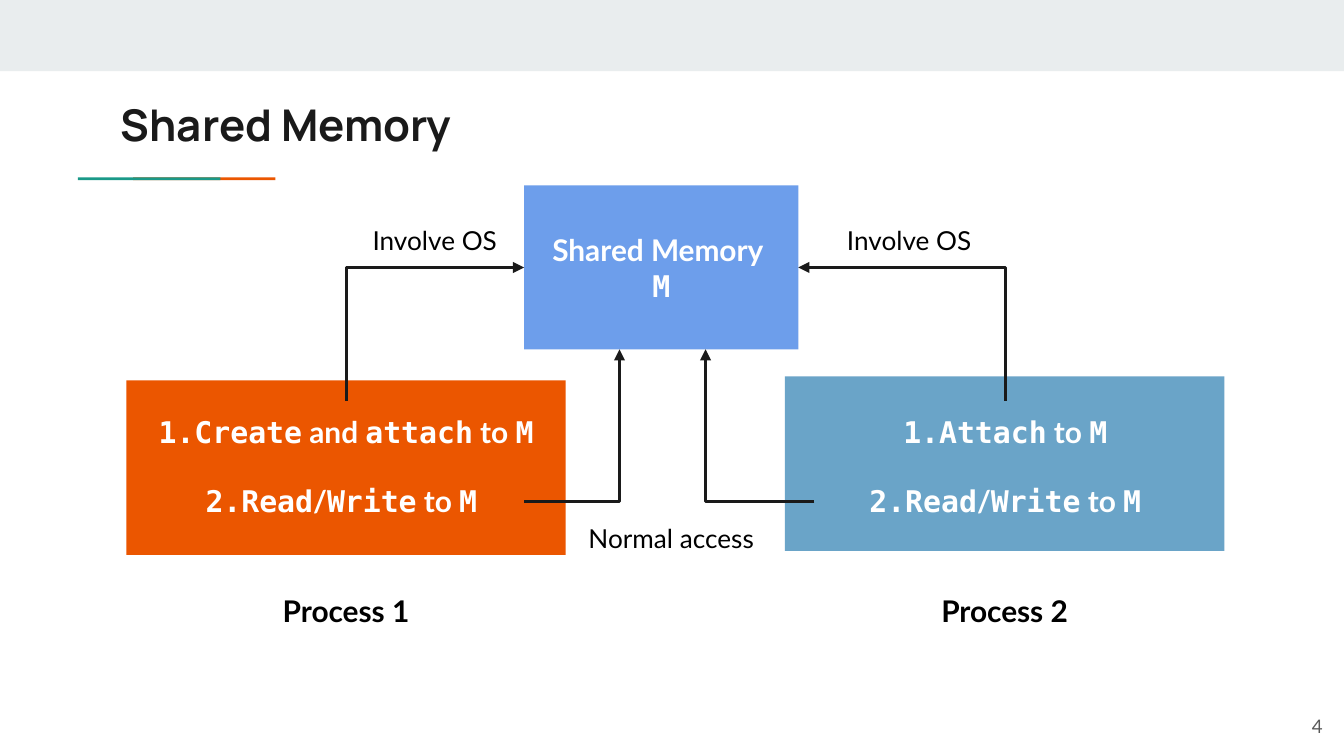
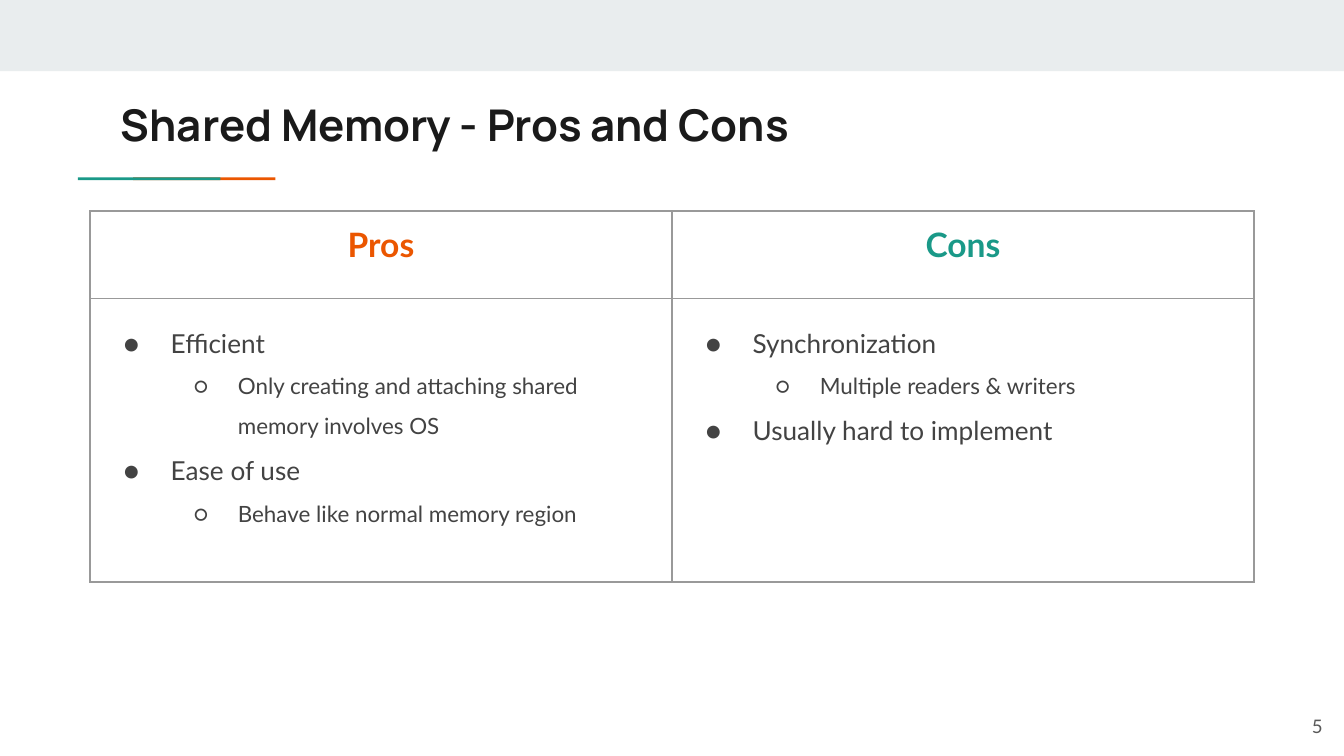
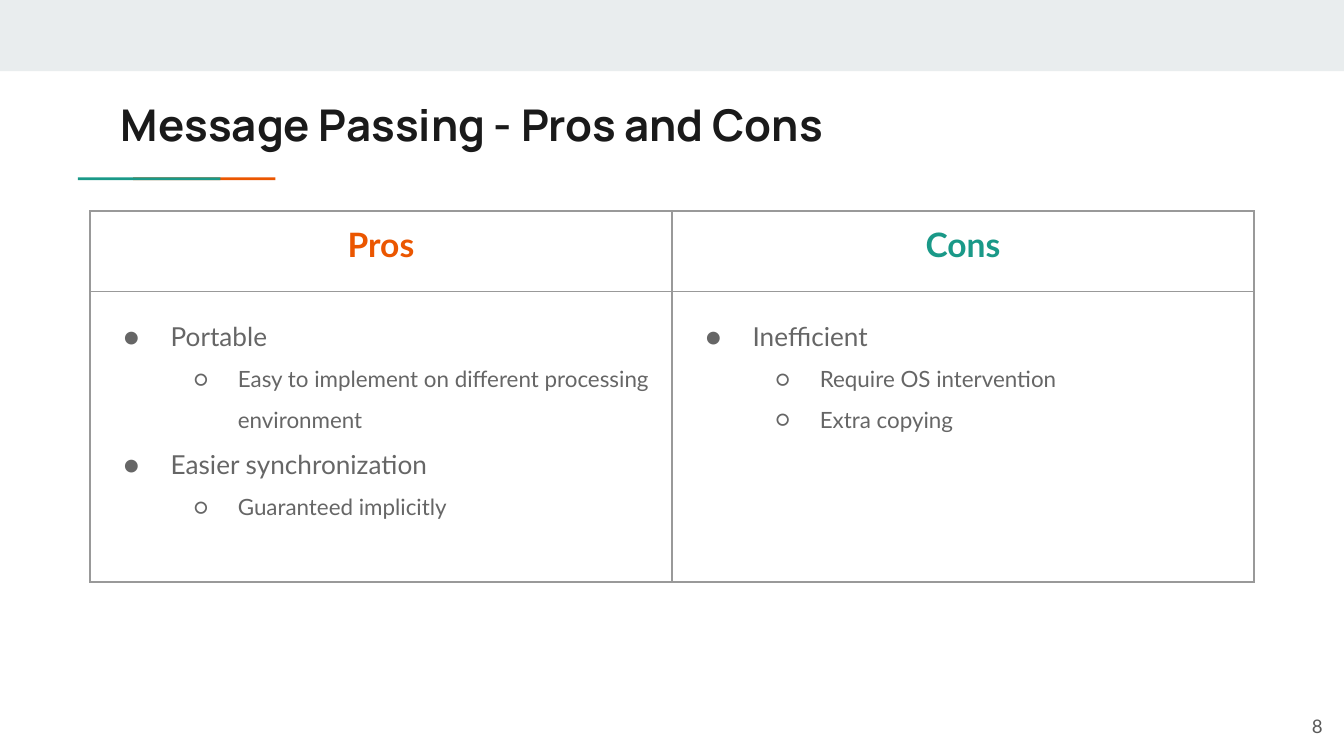
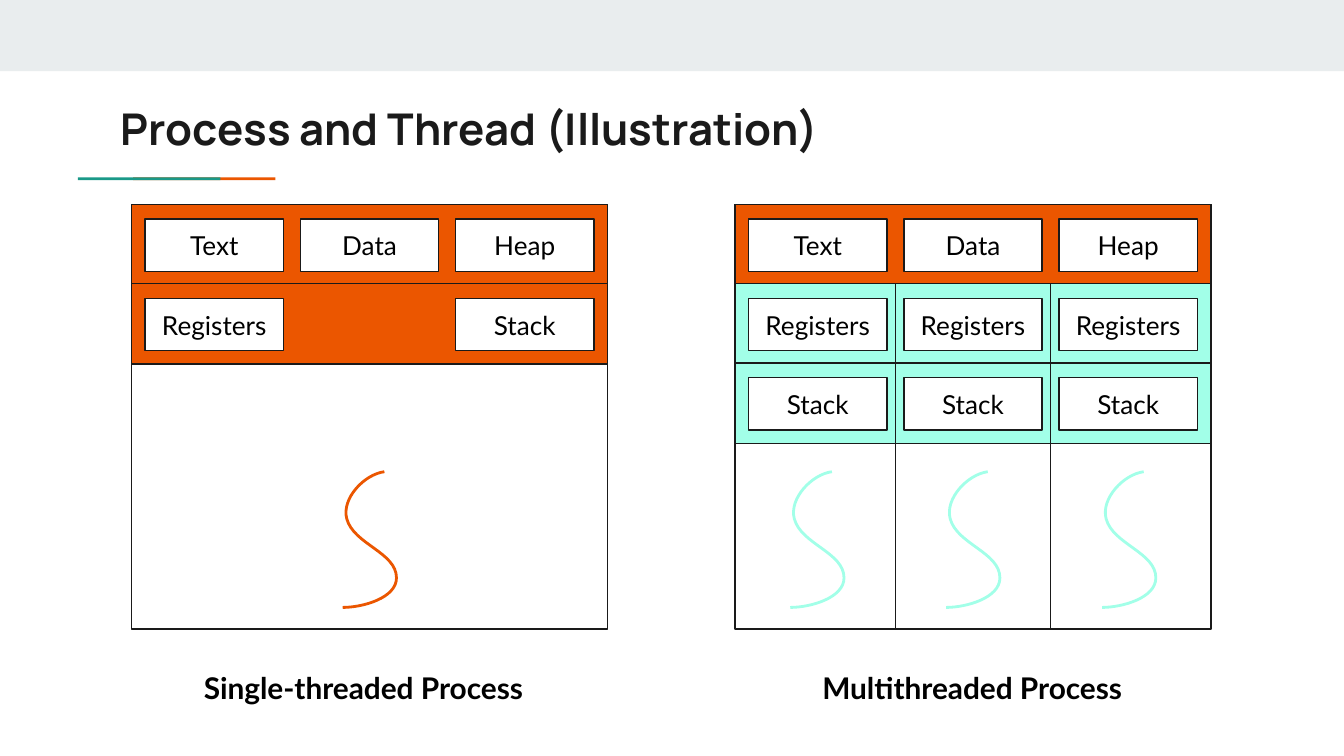
from lxml.etree import SubElement as Sub
from pptx import Presentation
from pptx.dml.color import RGBColor
from pptx.enum.shapes import MSO_CONNECTOR as Link, MSO_SHAPE as Kind
from pptx.enum.text import MSO_ANCHOR as Anchor, MSO_AUTO_SIZE as Fit, PP_ALIGN as Align
from pptx.oxml.ns import qn
from pptx.util import Inches, Pt

WIDE = 10
HIGH = WIDE * 9 / 16
INSET = 0.1
HUE = {"white": "FFFFFF", "black": "000000", "ink": "1A1A1A", "band": "E9EDEE",
       "orange": "EB5600", "teal": "1A9988", "steel": "6AA4C8", "blue": "6D9EEB",
       "mint": "A2FFE8", "rule": "999999", "dark": "434343", "mid": "666666",
       "page": "595959"}
MONO = "DejaVu Sans Mono"
FONT = {
    "title": dict(name="Manrope", size=Pt(23.4), bold=True),
    "strong": dict(name="Lato", size=Pt(16), bold=True),
    "plain": dict(name="Lato", size=Pt(14), bold=False),
    "head": dict(name="Lato", size=Pt(18), bold=True),
    "sub": dict(name="Lato", size=Pt(12), bold=False),
    "page": dict(name="Lato", size=Pt(10), bold=False),
}

# Slide 1: text between backticks is set in the mono font
STORE = (3.9, 1.38, 2.04, 1.22)
PROCS = [
    dict(name="Process 1", box=(0.94, 2.83, 3.27, 1.3), hue="orange",
         steps=[(0.94, 3.27, "`1.Create` and `attach` to `M`"),
                (1.17, 2.74, "`2.Read`/`Write` to `M`")]),
    dict(name="Process 2", box=(5.84, 2.8, 3.27, 1.3), hue="steel",
         steps=[(6.16, 2.64, "`1.Attach` to `M`"),
                (6.06, 2.84, "`2.Read`/`Write` to `M`")]),
]
STEP_TOP, STEP_GAP, NAME_TOP = 2.98, 0.51, 4.27
NOTES = [(2.64, 1.57, 1.19, "Involve OS"), (6.17, 1.57, 1.19, "Involve OS"),
         (4.26, 3.79, 1.47, "Normal access")]
# Level end, upright end, and which of the two has the arrowhead
ELBOWS = [((3.9, 1.99), (2.58, 2.98), "headEnd"), ((5.94, 1.99), (7.48, 2.98), "headEnd"),
          ((3.9, 3.73), (4.61, 2.6), "tailEnd"), ((6.06, 3.73), (5.25, 2.6), "tailEnd")]

# Slides 2 and 3: (level, text)
GRID = (0.67, 1.57, 8.66, 2.76)
HEADS = [("Pros", "orange"), ("Cons", "teal")]
TABLES = [
    dict(title="Shared Memory - Pros and Cons", page=5, hue="dark", head=0.65, cells=[
        [(0, "Efficient"), (1, "Only creating and attaching shared memory involves OS"),
         (0, "Ease of use"), (1, "Behave like normal memory region")],
        [(0, "Synchronization"), (1, "Multiple readers & writers"),
         (0, "Usually hard to implement")]]),
    dict(title="Message Passing - Pros and Cons", page=8, hue="mid", head=0.6, cells=[
        [(0, "Portable"), (1, "Easy to implement on different processing environment"),
         (0, "Easier synchronization"), (1, "Guaranteed implicitly")],
        [(0, "Inefficient"), (1, "Require OS intervention"), (1, "Extra copying")]]),
]
LEVELS = [("●", 0.5, -0.35, "plain"), ("○", 1, -0.33, "sub")]

# Slide 4
MODELS = [
    dict(name="Single-threaded Process", left=0.98, label=1.07, threads=[1], hue="orange",
         rows=[("orange", ["Text", "Data", "Heap"]),
               ("orange", ["Registers", "", "Stack"])]),
    dict(name="Multithreaded Process", left=5.47, label=5.6, threads=[0, 1, 2], hue="mint",
         rows=[("orange", ["Text", "Data", "Heap"]),
               ("mint", ["Registers"] * 3), ("mint", ["Stack"] * 3)]),
]
FRAME_TOP, FRAME_W, FRAME_H = 1.52, 3.54, 3.16
ROW_H, ROW_GAP = 0.6, 0.59
CHIP_W, CHIP_H = 1.03, 0.39
CHIP_GAP = (FRAME_W - 2 * INSET - CHIP_W) / 2
# Thread curve in hundredths of an inch: start, then three points per bend
CURVE = [(31, 0), (16, 2), (-1, 20), (3, 35), (8, 54), (40, 60), (40, 79),
         (40, 94), (15, 101), (0, 101)]
CURVE_TOP, CURVE_MID = 3.51, 0.2


def rgb(hue):
    return RGBColor.from_string(HUE[hue])


def style(font, look, hue, **more):
    for key, val in {**FONT[look], **more}.items():
        setattr(font, key, val)
    font.color.rgb = rgb(hue)


def write(frame, text, look, hue, align=Align.CENTER, anchor=Anchor.TOP, space=None):
    """Fill a text frame, one paragraph a line, with mono runs in backticks."""
    form = dict(word_wrap=True, auto_size=Fit.NONE, vertical_anchor=anchor)
    form.update({"margin_" + side: Inches(INSET)
                 for side in ("left", "right", "top", "bottom")})
    for key, val in form.items():
        setattr(frame, key, val)
    for i, line in enumerate(text.split("\n")):
        para = frame.add_paragraph() if i else frame.paragraphs[0]
        para.alignment = align
        if space:
            para.line_spacing = space
        for j, part in enumerate(line.split("`")):
            if part:
                run = para.add_run()
                run.text = part
                style(run.font, look, hue, **({"name": MONO} if j % 2 else {}))


def label(sld, at, text, look, hue="black", **form):
    box = sld.shapes.add_textbox(*map(Inches, at))
    write(box.text_frame, text, look, hue, **form)


def rect(sld, at, fill, line=None):
    box = sld.shapes.add_shape(Kind.RECTANGLE, *map(Inches, at))
    box.shadow.inherit = False
    box.fill.solid()
    box.fill.fore_color.rgb = rgb(fill)
    if line:
        box.line.color.rgb = rgb(line)
        box.line.width = Pt(0.75)
    else:
        box.line.fill.background()
    return box


def link(sld, start, end, width, kind=Link.STRAIGHT):
    wire = sld.shapes.add_connector(kind, *map(Inches, start + end))
    wire.line.color.rgb = rgb("ink")
    wire.line.width = Pt(width)
    Sub(wire.element.spPr, qn("a:effectLst"))
    return wire


def elbow(sld, level, upright, tip):
    wire = link(sld, level, upright, 1.5, Link.ELBOW)
    wire.element.spPr.find(qn("a:prstGeom")).set("prst", "bentConnector2")
    Sub(wire.element.spPr.find(qn("a:ln")), qn("a:" + tip), type="triangle")


def squiggle(sld, mid, hue):
    left, top = round((mid - CURVE_MID) * 100), round(CURVE_TOP * 100)
    spots = [(left + x, top + y) for x, y in CURVE]
    pen = sld.shapes.build_freeform(*spots[0], scale=Inches(0.01))
    pen.add_line_segments(spots[1:], close=False)
    shape = pen.convert_to_shape()
    shape.shadow.inherit = False
    shape.fill.background()
    shape.line.color.rgb = rgb(hue)
    shape.line.width = Pt(1.5)
    route = next(shape.element.iter(qn("a:path")))
    for i, leg in enumerate(route.findall(qn("a:lnTo"))):
        if i % 3 == 0:
            bend = Sub(route, qn("a:cubicBezTo"))
        bend.append(leg[0])
        route.remove(leg)


def dress(sld):
    """Move the band and the accent rule to the layout, behind its placeholders."""
    parts = [((0, 0, WIDE, 0.53), "band"), ((0.99, 1.32, 1.06, 0.02), "orange"),
             ((0.58, 1.32, 1.06, 0.02), "teal")]
    for i, (at, hue) in enumerate(parts):
        sld.slide_layout.shapes.element.insert(2 + i, rect(sld, at, hue).element)


def start(deck, title, page=None, top=0.63):
    sld = deck.slides.add_slide(deck.slide_layouts[5])
    head = sld.shapes.title
    head.left, head.top, head.width, head.height = map(Inches, (0.8, top, 8.41, 0.59))
    write(head.text_frame, title, "title", "ink", align=Align.LEFT)
    if page:
        label(sld, (9.34, 5.19, 0.6, 0.43), str(page), "page", "page",
              align=Align.RIGHT, anchor=Anchor.MIDDLE)
    return sld


def draw_memory(sld):
    for proc in PROCS:
        x, _, w, _ = proc["box"]
        rect(sld, proc["box"], proc["hue"])
        for i, (left, width, text) in enumerate(proc["steps"]):
            label(sld, (left, STEP_TOP + i * STEP_GAP, width, 0.47), text, "strong", "white")
        label(sld, (x, NAME_TOP, w, 0.47), proc["name"], "strong", space=1.15)
    write(rect(sld, STORE, "blue").text_frame, "Shared Memory \n`M`", "strong", "white",
          anchor=Anchor.MIDDLE)
    for wire in ELBOWS:
        elbow(sld, *wire)
    for x, y, w, text in NOTES:
        label(sld, (x, y, w, 0.44), text, "plain")


def edge(cell):
    """Give a cell its four borders and no fill."""
    props = cell._tc.get_or_add_tcPr()
    for side in "LRTB":
        line = Sub(props, qn("a:ln" + side), w=str(Pt(0.75)))
        Sub(Sub(line, qn("a:solidFill")), qn("a:srgbClr"), val=HUE["rule"])
    cell.fill.background()
    for side in ("left", "right", "top", "bottom"):
        setattr(cell, "margin_" + side, Inches(INSET))


def bullet(para, level, text, hue):
    mark, left, hang, look = LEVELS[level]
    para.level = level
    para.line_spacing = 1.5
    props = para._p.get_or_add_pPr()
    props.set("marL", str(Inches(left)))
    props.set("indent", str(Inches(hang)))
    Sub(Sub(props, qn("a:buClr")), qn("a:srgbClr"), val=HUE[hue])
    Sub(props, qn("a:buFont"), typeface=FONT[look]["name"])
    Sub(props, qn("a:buChar"), char=mark)
    run = para.add_run()
    run.text = text
    style(run.font, look, hue)


def draw_table(sld, data):
    grid = sld.shapes.add_table(2, len(HEADS), *map(Inches, GRID)).table
    grid.first_row = grid.horz_banding = False
    for row, size in zip(grid.rows, (data["head"], GRID[3] - data["head"])):
        row.height = Inches(size)
    for c, ((name, hue), points) in enumerate(zip(HEADS, data["cells"])):
        head, body = grid.cell(0, c), grid.cell(1, c)
        edge(head)
        edge(body)
        para = head.text_frame.paragraphs[0]
        para.alignment = Align.CENTER
        run = para.add_run()
        run.text = name
        style(run.font, "head", hue)
        for i, (level, text) in enumerate(points):
            frame = body.text_frame
            bullet(frame.add_paragraph() if i else frame.paragraphs[0],
                   level, text, data["hue"])


def draw_model(sld, model):
    left, low = model["left"], FRAME_TOP + FRAME_H
    chips = [left + INSET + c * CHIP_GAP for c in range(3)]
    rect(sld, (left, FRAME_TOP, FRAME_W, FRAME_H), "white", "ink")
    for r, (hue, names) in enumerate(model["rows"]):
        top = FRAME_TOP + r * ROW_GAP
        rect(sld, (left, top, FRAME_W, ROW_H), hue, "ink")
        for x, name in zip(chips, names):
            if name:
                chip = rect(sld, (x, top + 0.11, CHIP_W, CHIP_H), "white", "ink")
                write(chip.text_frame, name, "plain", "black", anchor=Anchor.MIDDLE)
    for c in model["threads"][1:]:
        x = (chips[c - 1] + CHIP_W + chips[c]) / 2
        link(sld, (x, FRAME_TOP + ROW_GAP), (x, low), 0.75)
    for c in model["threads"]:
        squiggle(sld, chips[c] + CHIP_W / 2, model["hue"])
    label(sld, (model["label"], 4.84, 3.27, 0.47), model["name"], "strong", space=1.15)


def main():
    deck = Presentation()
    deck.slide_width, deck.slide_height = Inches(WIDE), Inches(HIGH)
    sld = start(deck, "Shared Memory", 4)
    dress(sld)
    draw_memory(sld)
    for data in TABLES:
        draw_table(start(deck, data["title"], data["page"]), data)
    sld = start(deck, "Process and Thread (Illustration)", top=0.66)
    for model in MODELS:
        draw_model(sld, model)
    deck.save("out.pptx")


if __name__ == "__main__":
    main()
